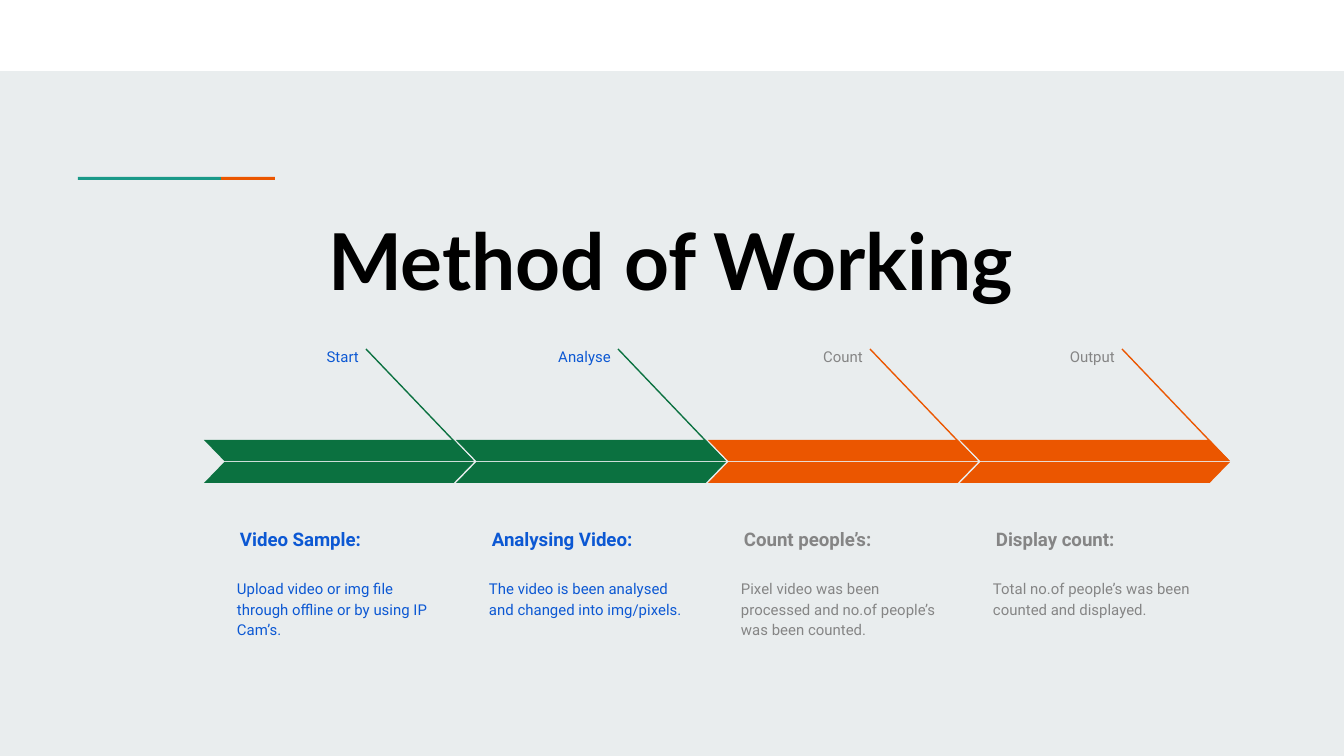
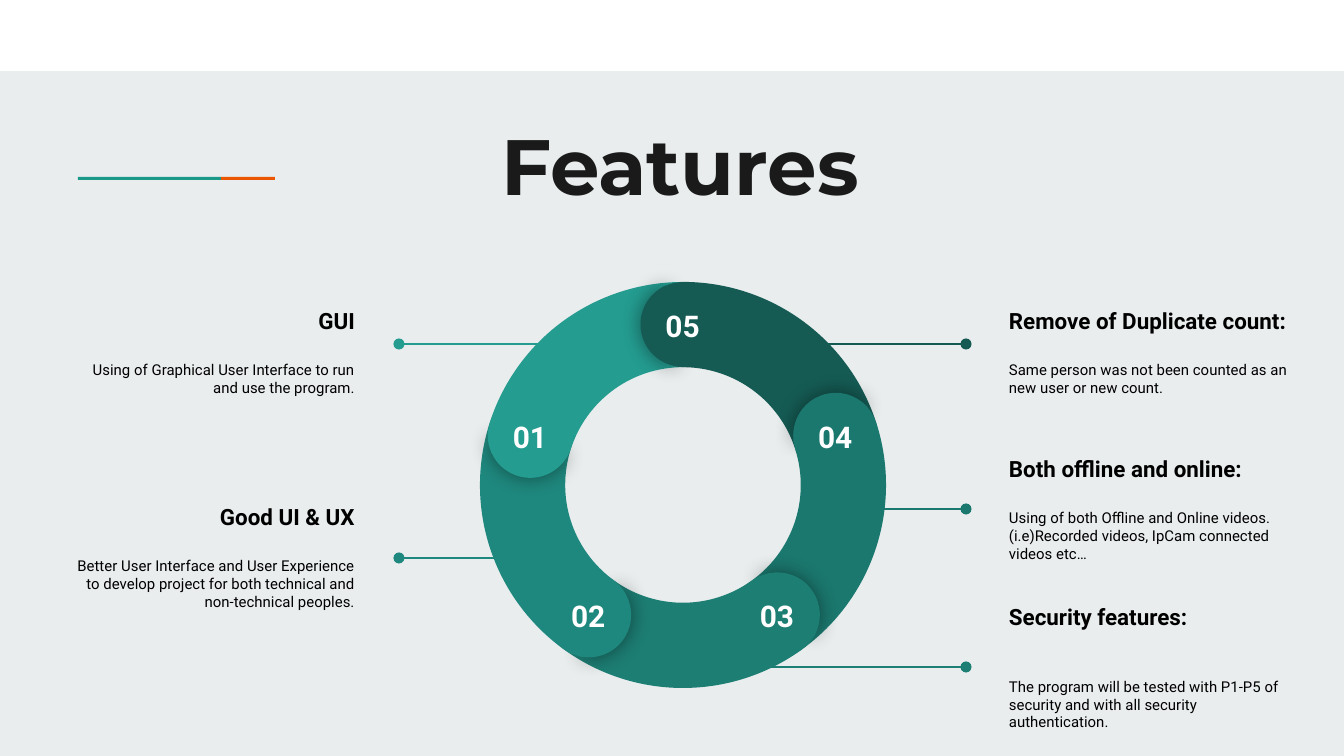
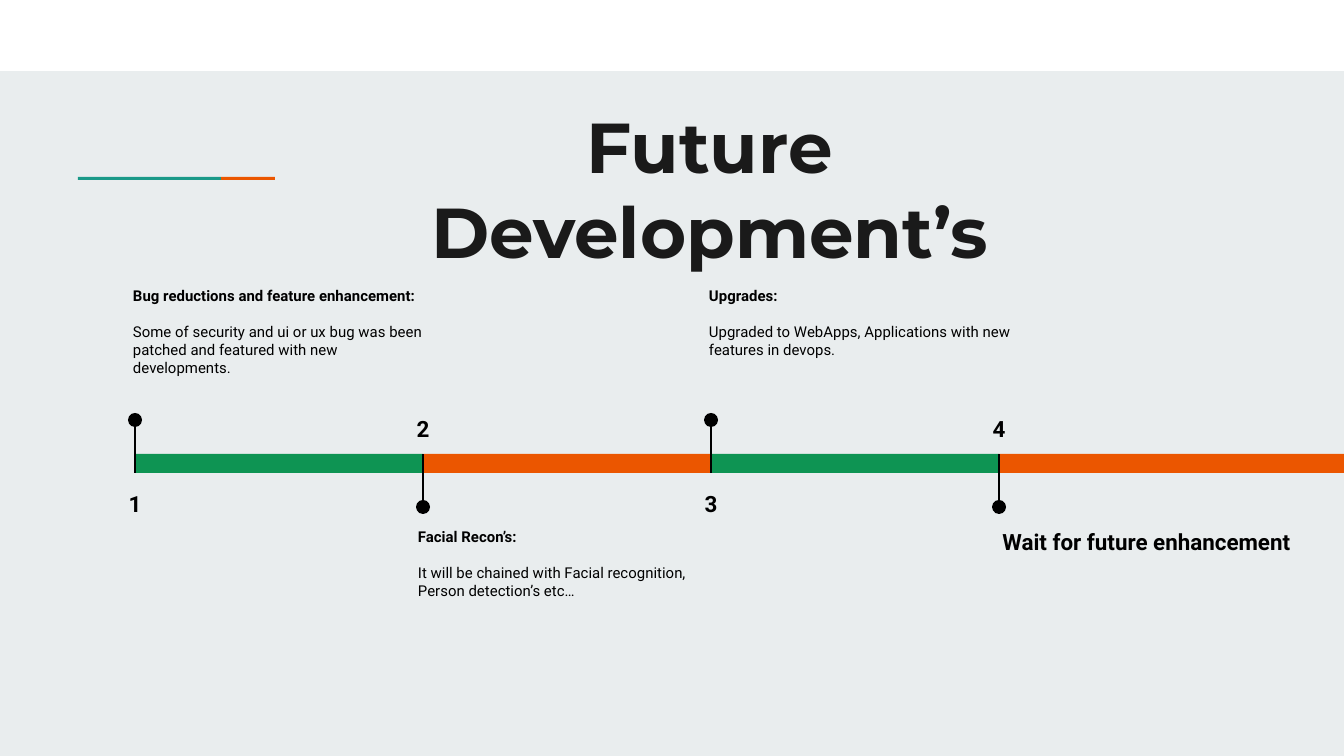
"""Build three project slides: method of working, features and future developments."""
from dataclasses import dataclass
from math import cos, radians, sin

from lxml.etree import SubElement
from pptx import Presentation
from pptx.dml.color import RGBColor
from pptx.enum.shapes import MSO_CONNECTOR, MSO_SHAPE
from pptx.enum.text import MSO_ANCHOR, MSO_AUTO_SIZE, PP_ALIGN
from pptx.oxml.ns import qn
from pptx.util import Emu, Pt

EMU_PER_PIXEL = 914400 / 134.4
SLIDE_WIDTH, SLIDE_HEIGHT = 1344, 756
INSET = 13
TITLE_ONLY = 5
COLORS = {
    "background": "E9EDEE", "white": "FFFFFF", "black": "000000",
    "title": "1A1A1A", "orange": "EB5600", "teal": "1A9988",
    "forest": "0B7140", "green": "0E9453", "blue": "0C58D3", "gray": "858585",
    "ring1": "249C90", "ring2": "1F887E", "ring3": "1D7E74",
    "ring4": "1B786E", "ring5": "155B54",
}


@dataclass(frozen=True)
class Stage:
    """One chevron of the method, with its label and texts."""
    label: str
    heading: str
    body: str
    fill: str
    ink: str


@dataclass(frozen=True)
class Feature:
    """One ring segment with its callout."""
    heading: str
    body: str
    color: str
    text_top: int
    line_start: int
    line_y: int
    on_left: bool = False
    gap: float = 14


@dataclass(frozen=True)
class Milestone:
    """One span of the timeline."""
    heading: str
    body: str
    fill: str
    above: bool


STAGES = [
    Stage("Start", "Video Sample:",
          "Upload video or img file through offline or by using IP Cam’s.", "forest", "blue"),
    Stage("Analyse", "Analysing Video:",
          "The video is been analysed and changed into img/pixels.", "forest", "blue"),
    Stage("Count", "Count people’s:",
          "Pixel video was been processed and no.of people’s was been counted.", "orange", "gray"),
    Stage("Output", "Display count:",
          "Total no.of people’s was been counted and displayed.", "orange", "gray"),
]
FEATURES = [
    Feature("GUI", "Using of Graphical User Interface to run and use the program.",
            "ring1", 284, 579, 344, on_left=True),
    Feature("Good UI & UX",
            "Better User Interface and User Experience to develop project for both "
            "technical and non-technical peoples.", "ring2", 489, 536, 558, on_left=True),
    Feature("Security features:",
            "The program will be tested with P1-P5 of security and with all security "
            "authentication.", "ring3", 599, 696, 667, gap=25.4),
    Feature("Both offline and online:",
            "Using of both Offline and Online videos. (i.e)Recorded videos, IpCam connected "
            "videos etc…", "ring4", 441, 836, 509),
    Feature("Remove of Duplicate count:",
            "Same person was not been counted as an new user or new count.",
            "ring5", 284, 777, 344),
]
MILESTONES = [
    Milestone("Bug reductions and feature enhancement:",
              "Some of security and ui or ux bug was been patched and featured with new "
              "developments.", "green", True),
    Milestone("Facial Recon’s:",
              "It will be chained with Facial recognition, Person detection’s etc…",
              "orange", False),
    Milestone("Upgrades:",
              "Upgraded to WebApps, Applications with new features in devops.", "green", True),
    Milestone("Wait for future enhancement", "", "orange", False),
]


def px(pixels: float) -> Emu:
    """Turn pixels into EMU."""
    return Emu(round(pixels * EMU_PER_PIXEL))


def rgb(name: str) -> RGBColor:
    """Look up a named colour."""
    return RGBColor.from_string(COLORS[name])


def write(paragraph, text: str, *, size: float, color: str = "black", font: str = "Roboto",
          bold: bool = False, align=PP_ALIGN.LEFT, spacing: float = 1, before: float = 0) -> None:
    """Write one formatted run into a paragraph."""
    paragraph.alignment = align
    paragraph.line_spacing = spacing
    paragraph.space_before = Pt(before)
    run = paragraph.add_run()
    run.text = text
    run.font.size = Pt(size)
    run.font.name = font
    run.font.bold = bold
    run.font.color.rgb = rgb(color)


def set_frame(frame, anchor) -> None:
    """Give a text frame the shared insets, wrapping and an anchor."""
    frame.auto_size = MSO_AUTO_SIZE.NONE
    frame.word_wrap = True
    frame.vertical_anchor = anchor
    frame.margin_left = frame.margin_right = px(INSET)
    frame.margin_top = frame.margin_bottom = px(INSET)


def add_text(slide, left: float, top: float, width: float, height: float, text: str, *,
             anchor=MSO_ANCHOR.TOP, **style):
    """Add a text box with one paragraph and return its frame."""
    frame = slide.shapes.add_textbox(px(left), px(top), px(width), px(height)).text_frame
    set_frame(frame, anchor)
    write(frame.paragraphs[0], text, **style)
    return frame


def add_shape(slide, kind, left: float, top: float, width: float, height: float, color: str, *,
              rotation: float = 0, adjustments: tuple = ()):
    """Add a plain filled preset shape."""
    shape = slide.shapes.add_shape(kind, px(left), px(top), px(width), px(height))
    shape.shadow.inherit = False
    shape.fill.solid()
    shape.fill.fore_color.rgb = rgb(color)
    shape.line.fill.background()
    shape.rotation = rotation % 360
    for index, value in enumerate(adjustments):
        shape.adjustments[index] = value
    return shape


def add_line(slide, start: tuple, end: tuple, color: str, *, dot: bool = False) -> None:
    """Add a thin straight line, optionally ending in a dot."""
    connector = slide.shapes.add_connector(
        MSO_CONNECTOR.STRAIGHT, px(start[0]), px(start[1]), px(end[0]), px(end[1]))
    connector.line.color.rgb = rgb(color)
    connector.line.width = Pt(0.75)
    properties = connector.element.spPr
    if dot:
        SubElement(properties.find(qn("a:ln")), qn("a:tailEnd"), type="oval")
    SubElement(properties, qn("a:effectLst"))


def add_soft_shadow(shape) -> None:
    """Put a centred blurred shadow behind a shape."""
    effects = shape.element.spPr.find(qn("a:effectLst"))
    shadow = SubElement(effects, qn("a:outerShdw"), blurRad=str(Pt(11.2)), dist="0", dir="0",
                        algn="ctr", rotWithShape="0")
    tint = SubElement(shadow, qn("a:srgbClr"), val=COLORS["black"])
    SubElement(tint, qn("a:alpha"), val="43000")


def add_slide(presentation, title: str, left: int, top: int, width: int, height: int, *,
              anchor=MSO_ANCHOR.MIDDLE, **style):
    """Add a slide with the shared band, accent line and title."""
    slide = presentation.slides.add_slide(presentation.slide_layouts[TITLE_ONLY])
    add_shape(slide, MSO_SHAPE.RECTANGLE, 0, 0, SLIDE_WIDTH, 71, "white")
    add_shape(slide, MSO_SHAPE.RECTANGLE, 78, 177, 143, 3, "teal")
    add_shape(slide, MSO_SHAPE.RECTANGLE, 221, 177, 54, 3, "orange")
    holder = slide.shapes.title
    holder.left, holder.top, holder.width, holder.height = map(px, (left, top, width, height))
    set_frame(holder.text_frame, anchor)
    write(holder.text_frame.paragraphs[0], title, bold=True, align=PP_ALIGN.CENTER, **style)
    return slide


def add_stage(slide, stage: Stage, left: int) -> None:
    """Draw one chevron with its slanted line and texts."""
    add_text(slide, left + 77, 332, 91, 35, stage.label, size=8, color=stage.ink,
             align=PP_ALIGN.RIGHT, spacing=1.15)
    add_text(slide, left + 23, 497, 222, 66, stage.heading, size=10, color=stage.ink,
             bold=True, spacing=1.15, anchor=MSO_ANCHOR.BOTTOM)
    add_text(slide, left + 20, 564, 227, 109, stage.body, size=8, color=stage.ink, spacing=1.15)
    add_line(slide, (left + 162, 349), (left + 268, 460), stage.fill)
    upper, _ = [add_shape(slide, MSO_SHAPE.PARALLELOGRAM, left, top, 270, 21, stage.fill,
                          adjustments=(0.97,)) for top in (440, 462)]
    upper.element.spPr.find(qn("a:xfrm")).set("flipH", "1")


def add_callout(slide, feature: Feature) -> None:
    """Draw the dotted line and texts of a feature."""
    line_end = 399 if feature.on_left else 966
    align = PP_ALIGN.RIGHT if feature.on_left else PP_ALIGN.LEFT
    add_line(slide, (feature.line_start, feature.line_y), (line_end, feature.line_y),
             feature.color, dot=True)
    frame = add_text(slide, 56 if feature.on_left else 996, feature.text_top, 312, 136,
                     feature.heading, size=12, bold=True, align=align, anchor=MSO_ANCHOR.MIDDLE)
    write(frame.add_paragraph(), feature.body, size=8, align=align, before=feature.gap)


def add_ring(slide, features: list) -> None:
    """Draw the ring of arcs with a numbered round cap at the start of each."""
    center_x, center_y, diameter, cap = 683, 485, 406, 85
    step = 360 / len(features)
    radius = (diameter - cap) / 2
    for index, feature in enumerate(features):
        add_shape(slide, MSO_SHAPE.BLOCK_ARC, center_x - diameter / 2, center_y - diameter / 2,
                  diameter, diameter, feature.color, rotation=348 - step * index,
                  adjustments=(126, 126 + step * 0.6, 0.21))
    for index, feature in enumerate(features):
        angle = 198 - step * index
        x = center_x + radius * cos(radians(angle))
        y = center_y + radius * sin(radians(angle))
        front, back = [
            add_shape(slide, MSO_SHAPE.PIE, x - cap / 2, y - cap / 2, cap, cap, feature.color,
                      rotation=angle + turn, adjustments=ends)
            for turn, ends in ((86, (61.9, 149.96)), (-95, (40.28, 171.84)))]
        add_soft_shadow(front)
        add_text(slide, x - 38, y - 30, 75, 39, f"{index + 1:02d}", size=16, color="white",
                 bold=True, align=PP_ALIGN.CENTER)


def add_milestone(slide, milestone: Milestone, number: int, left: int, width: int) -> None:
    """Draw one timeline span with its pin, number and texts."""
    dot = 14
    bar_top, bar_bottom = 454, 473
    pin_y = 420 if milestone.above else 507
    add_shape(slide, MSO_SHAPE.RECTANGLE, left, bar_top, width, bar_bottom - bar_top,
              milestone.fill)
    add_line(slide, (left, pin_y), (left, bar_bottom if milestone.above else bar_top), "black")
    add_shape(slide, MSO_SHAPE.OVAL, left - dot / 2, pin_y - dot / 2, dot, dot, "black")
    add_text(slide, left - 55, bar_bottom if milestone.above else 398, 110, 55, str(number),
             size=12, bold=True, align=PP_ALIGN.CENTER, spacing=1.15)
    text_left, text_top = (left - 15, 274) if milestone.above else (left - 18, 515)
    frame = add_text(slide, text_left, text_top, 331, 138, milestone.heading, bold=True,
                     size=8 if milestone.body else 12,
                     align=PP_ALIGN.LEFT if milestone.body else PP_ALIGN.CENTER)
    if milestone.body:
        write(frame.add_paragraph(), milestone.body, size=8, before=9.4)


def build_method(presentation) -> None:
    """Build the method slide."""
    slide = add_slide(presentation, "Method of Working", 288, 199, 765, 122,
                      anchor=MSO_ANCHOR.TOP, size=42, font="Lato")
    for index, stage in enumerate(STAGES):
        add_stage(slide, stage, 204 + 252 * index)


def build_features(presentation) -> None:
    """Build the features slide."""
    slide = add_slide(presentation, "Features", 457, 98, 446, 133, size=42,
                      font="Montserrat", color="title")
    for feature in FEATURES:
        add_callout(slide, feature)
    add_ring(slide, FEATURES)


def build_future(presentation) -> None:
    """Build the future developments slide."""
    slide = add_slide(presentation, "Future Development’s", 378, 121, 663, 133, size=37.8,
                      font="Montserrat", color="title")
    start, step = 135, 288
    for index, milestone in enumerate(MILESTONES):
        left = start + step * index
        is_last = index == len(MILESTONES) - 1
        add_milestone(slide, milestone, index + 1, left, SLIDE_WIDTH - left if is_last else step)


def main() -> None:
    """Build and save the presentation."""
    presentation = Presentation()
    presentation.slide_width = px(SLIDE_WIDTH)
    presentation.slide_height = px(SLIDE_HEIGHT)
    background = presentation.slide_master.background.fill
    background.solid()
    background.fore_color.rgb = rgb("background")
    build_method(presentation)
    build_features(presentation)
    build_future(presentation)
    presentation.save("out.pptx")


main()
